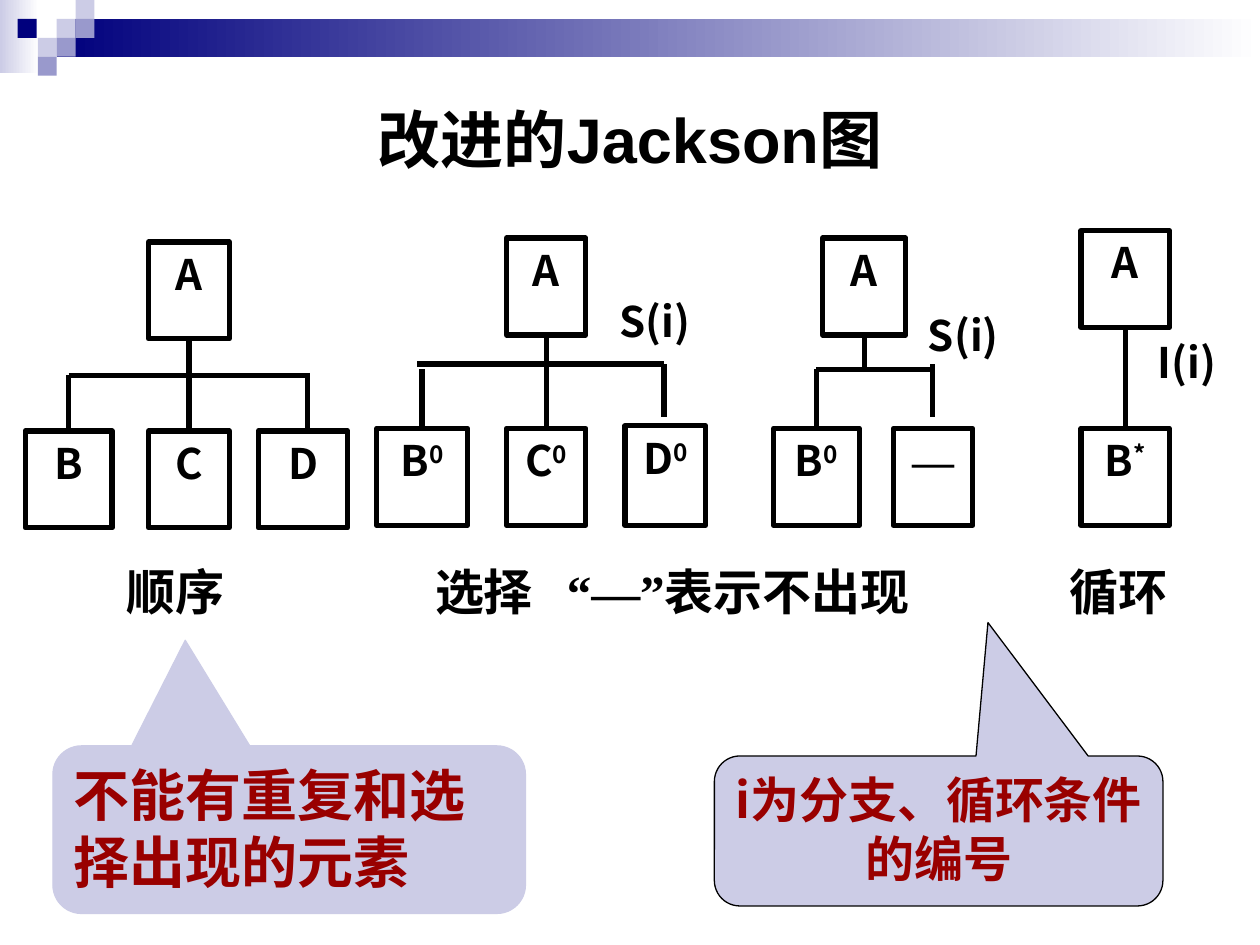
from dataclasses import dataclass

from lxml.etree import SubElement
from pptx import Presentation
from pptx.dml.color import RGBColor as Rgb
from pptx.enum.shapes import MSO_CONNECTOR as Link, MSO_SHAPE as Preset
from pptx.enum.text import MSO_ANCHOR as Anchor, PP_ALIGN as Align
from pptx.oxml.ns import qn
from pptx.util import Inches, Pt


@dataclass(frozen=True)
class Theme:
    ink: str = "000000"
    navy: str = "00007D"
    violet: str = "9999CC"
    lilac: str = "CCCCE6"
    paper: str = "FFFFFF"
    red: str = "990000"
    heading: str = "Arial"
    body: str = "Noto Sans CJK SC"
    serif: str = "Times New Roman"
    title: int = 36
    remark: int = 32
    caption: int = 28
    node: int = 24
    rule: float = 3
    hairline: float = 0.75


THEME = Theme()
COLUMNS, ROWS = 100, 75
NODE_ROWS = 7.7
POWER = {"baseline": "30000"}
WIDE_SPACE = {"spc": "1300"}
SERIF = {"name": THEME.serif}

BANDS = [
    (0, 0, 3.1, 5.8, THEME.lilac),
    (4.5, 1.5, 95.5, 3, THEME.navy),
]
TILE = 1.5
TILES = [
    (4.5, 1.5, THEME.lilac),
    (6, 0, THEME.lilac),
    (6, 1.5, THEME.violet),
    (3, 3, THEME.lilac),
    (1.4, 1.5, THEME.navy),
    (4.5, 3, THEME.violet),
    (3, 4.5, THEME.violet),
]

NODES = {
    "sequence A": (11.8, 19.2, 6.4, NODE_ROWS, [("A", {})]),
    "sequence B": (2, 34.2, 6.9, NODE_ROWS, [("B", {})]),
    "sequence C": (11.8, 34.2, 6.4, NODE_ROWS, [("C", {})]),
    "sequence D": (20.5, 34.2, 7.1, NODE_ROWS, [("D", {})]),
    "choice A": (40.2, 18.9, 6.3, NODE_ROWS, [("A", {})]),
    "choice B": (29.9, 34, 7.2, NODE_ROWS, [("B", {}), ("0", POWER)]),
    "choice C": (40.2, 34, 6.3, NODE_ROWS, [("C", {}), ("0", POWER)]),
    "choice D": (49.6, 33.8, 6.4, 7.9, [("D", {}), ("0", POWER)]),
    "option A": (65.3, 18.9, 6.6, NODE_ROWS, [("A", {})]),
    "option B": (61.4, 34, 6.8, NODE_ROWS, [("B", {}), ("0", POWER)]),
    "option none": (70.9, 34, 6.3, NODE_ROWS, [("—", SERIF)]),
    "loop A": (85.8, 18.3, 7, NODE_ROWS, [("A", {})]),
    "loop B": (85.8, 34, 7, NODE_ROWS, [("B", {}), ("*", POWER)]),
}

BRANCHES = [
    ("sequence A", "sequence C"),
    ((5.45, 29.8), (24.4, 29.8)),
    ((5.45, 29.8), "sequence B"),
    ((24.4, 29.6), (24.4, 34.2)),
    ("choice A", "choice C"),
    ((33.1, 28.9), (52.7, 28.9)),
    ((33.5, 29.3), "choice B"),
    ((52.7, 28.9), (52.7, 33.1)),
    ("option A", (68.6, 29.3)),
    ((64.8, 29.3), (74, 29.3)),
    ((64.8, 29.3), "option B"),
    ((74, 28.9), (74, 33.1)),
    ("loop A", "loop B"),
]

CONDITIONS = [
    (47.2, 23, 9.5, 7.7, "S(i)"),
    (72, 24.1, 8.9, 7.7, "S(i)"),
    (90, 26.2, 8.4, 7.7, "I(i)"),
]

CAPTIONS = [
    (3.3, 21.3, [("顺序", {})]),
    (29.2, 48.3, [("选择", {}), (" ", WIDE_SPACE), ("“—”", SERIF),
                  ("表示不出现", {})]),
    (82.5, 12.6, [("循环", {})]),
]


def place(*cells):
    steps = (10 / COLUMNS, 7.5 / ROWS) * 2
    return [Inches(cell * step) for cell, step in zip(cells, steps)]


def write(frame, runs, size, align=Align.CENTER, color=THEME.ink,
          anchor=Anchor.TOP, face=THEME.body):
    layout = {"word_wrap": True, "vertical_anchor": anchor,
              "margin_left": Inches(0.1), "margin_right": Inches(0.1),
              "margin_top": Inches(0.05), "margin_bottom": Inches(0.05)}
    for name, value in layout.items():
        setattr(frame, name, value)
    line = frame.paragraphs[0]
    line.alignment = align
    for words, extras in runs:
        run = line.add_run()
        run.text = words
        style = {"name": extras.get("name", face), "size": Pt(size), "bold": True}
        for name, value in style.items():
            setattr(run.font, name, value)
        run.font.color.rgb = Rgb.from_string(color)
        properties = run._r.get_or_add_rPr()
        SubElement(properties, qn("a:ea"), typeface=style["name"])
        for name, value in extras.items():
            if name != "name":
                properties.set(name, value)


def label(slide, cells, runs, size, **style):
    write(slide.shapes.add_textbox(*place(*cells)).text_frame, runs, size, **style)


def block(slide, cells, preset=Preset.RECTANGLE, fill=None, line=None, width=0):
    outline = slide.shapes.add_shape(preset, *place(*cells))
    outline.shadow.inherit = False
    if fill:
        outline.fill.solid()
        outline.fill.fore_color.rgb = Rgb.from_string(fill)
    else:
        outline.fill.background()
    if line:
        outline.line.color.rgb = Rgb.from_string(line)
        outline.line.width = Pt(width)
    else:
        outline.line.fill.background()
    return outline


def fading_band(slide, cells, start):
    band = block(slide, cells)
    band.fill.gradient()
    band.fill.gradient_angle = 0
    for stop, color in zip(band.fill.gradient_stops, (start, THEME.paper)):
        stop.color.rgb = Rgb.from_string(color)


def node(slide, cells, runs):
    box = block(slide, cells, line=THEME.ink, width=THEME.rule)
    write(box.text_frame, runs, THEME.node)
    return box


def branch(slide, start, end, nodes):
    points = [(0, 0) if spot in nodes else spot for spot in (start, end)]
    link = slide.shapes.add_connector(Link.STRAIGHT, *place(*points[0], *points[1]))
    if start in nodes:
        link.begin_connect(nodes[start], 2)
    if end in nodes:
        link.end_connect(nodes[end], 0)
    link.line.color.rgb = Rgb.from_string(THEME.ink)
    link.line.width = Pt(THEME.rule)
    SubElement(link._element.spPr, qn("a:effectLst"))


def callout(slide, cells, tail, words, size, align, line):
    bubble = block(slide, cells, Preset.ROUNDED_RECTANGULAR_CALLOUT,
                   THEME.lilac, line, THEME.hairline)
    for index, value in enumerate((*tail, 0.17)):
        bubble.adjustments[index] = value
    write(bubble.text_frame, [(words, {})], size, align=align, color=THEME.red)


def main():
    deck = Presentation()
    deck.slide_width, deck.slide_height = place(COLUMNS, ROWS)
    slide = deck.slides.add_slide(deck.slide_layouts[6])

    for *cells, color in BANDS:
        fading_band(slide, cells, color)
    for left, top, color in TILES:
        block(slide, (left, top, TILE, TILE), fill=color)
    label(slide, (5, 5, 90, 12), [("改进的Jackson图", {})], THEME.title,
          anchor=Anchor.MIDDLE, face=THEME.heading)

    callout(slide, (4.2, 59.2, 37.5, 13.3), (-0.22, -1.13),
            "不能有重复和选择出现的元素", THEME.remark, Align.LEFT, THEME.lilac)
    callout(slide, (56.7, 60, 35.6, 11.9), (0.11, -1.39),
            "i为分支、循环条件的编号", THEME.caption, Align.CENTER, THEME.ink)

    nodes = {key: node(slide, cells, runs) for key, (*cells, runs) in NODES.items()}
    for start, end in BRANCHES:
        branch(slide, start, end, nodes)
    for *cells, words in CONDITIONS:
        label(slide, cells, [(words, {})], THEME.node)
    for left, width, runs in CAPTIONS:
        label(slide, (left, 44.1, width, 7.5), runs, THEME.caption)

    deck.save("out.pptx")


if __name__ == "__main__":
    main()
